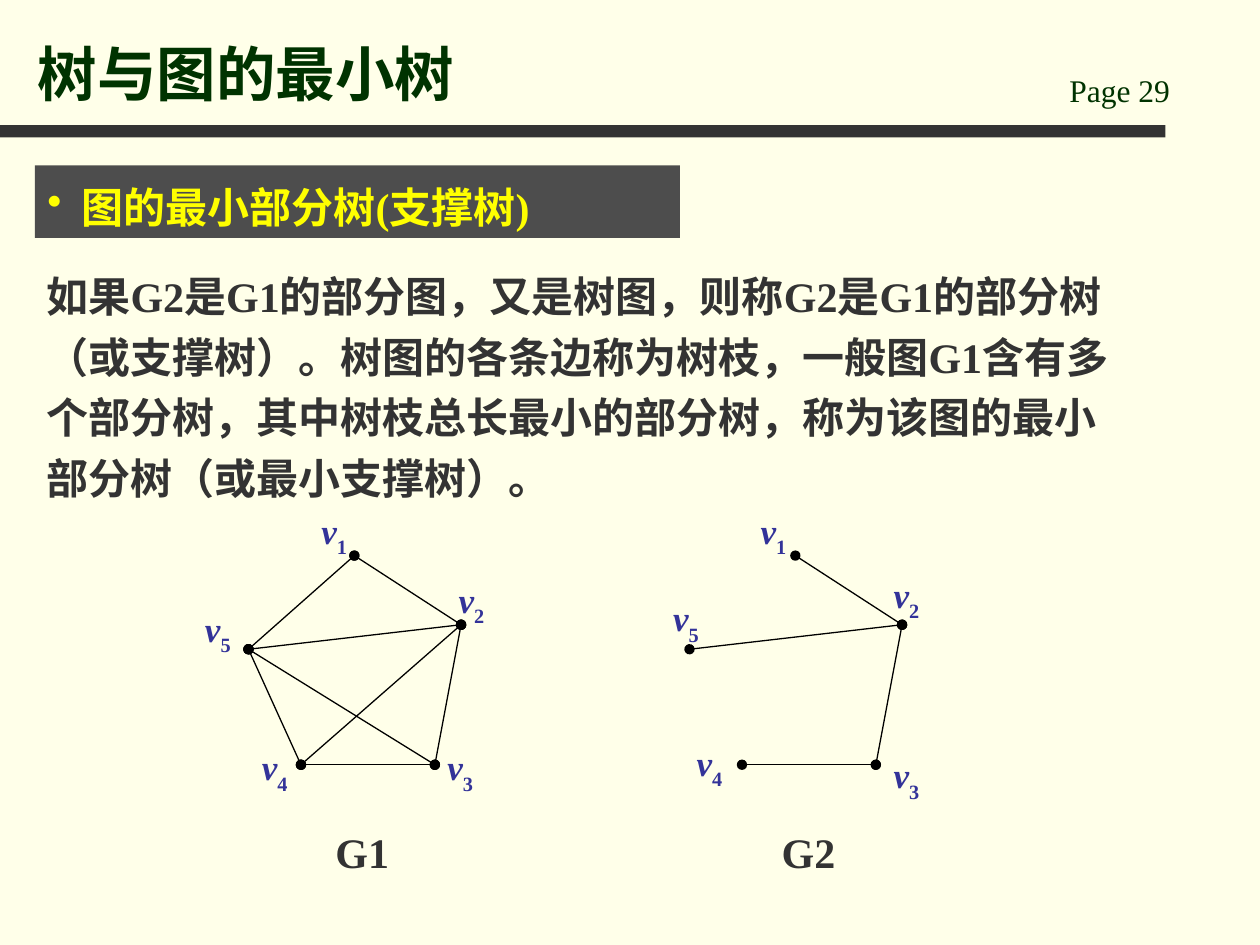
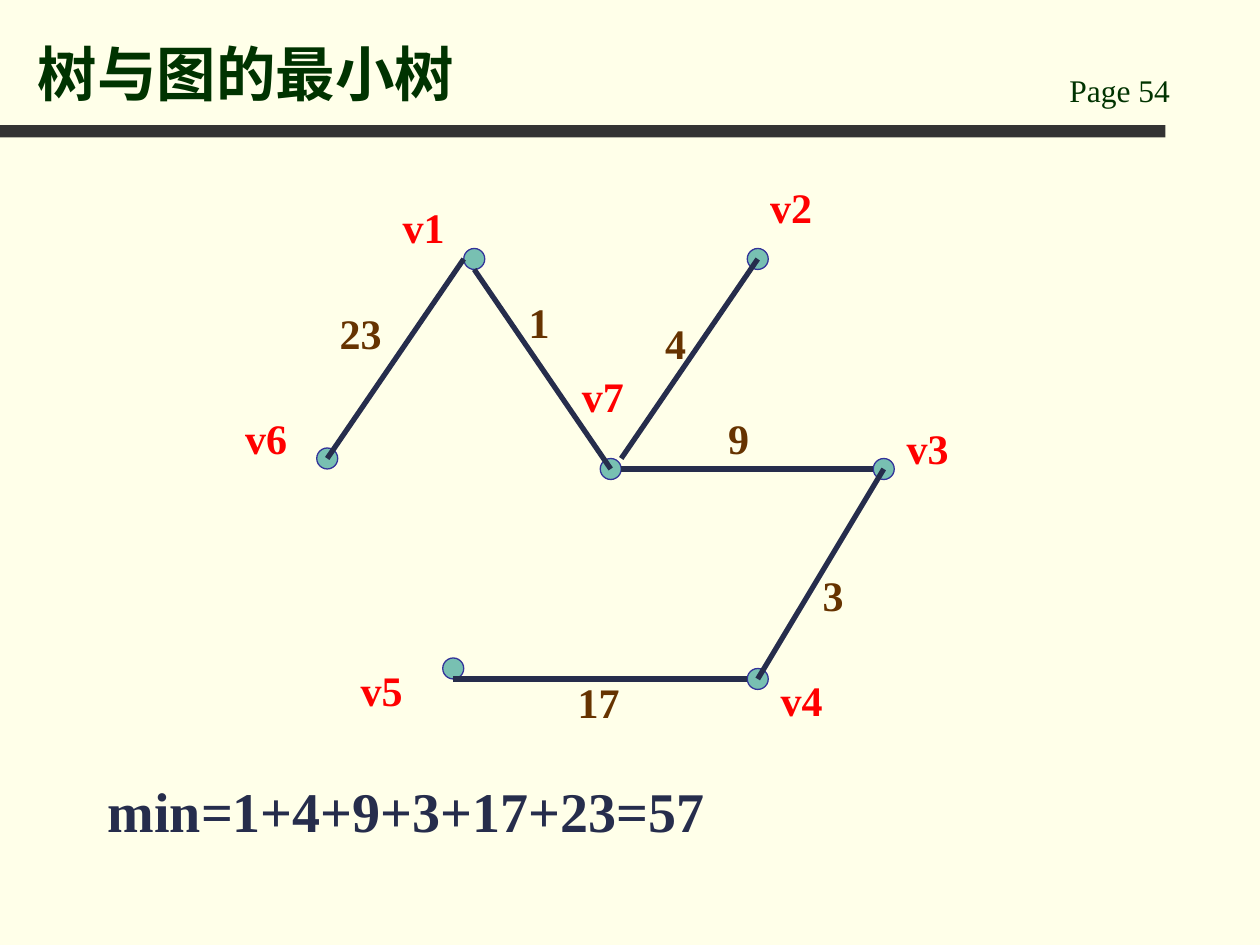
import pptx
import pptx.dml.color
import pptx.enum.shapes
import pptx.enum.text
import pptx.oxml.ns
import pptx.util
from lxml import etree

Pt = pptx.util.Pt
SHAPE = pptx.enum.shapes.MSO_SHAPE
ALIGN = pptx.enum.text.PP_ALIGN
ANCHOR = pptx.enum.text.MSO_ANCHOR

FONT = "Times New Roman"
CREAM, GREEN, DARK, GREY = "FFFFE9", "003300", "333333", "4D4D4D"
YELLOW, BLUE, NAVY, TEAL = "FFFF00", "333399", "262D4C", "78C0B2"
RED, BROWN, BLACK = "FF0000", "663300", "000000"
TITLE = "树与图的最小树"


def rgb(color):
    return pptx.dml.color.RGBColor.from_string(color)


def add_xml(parent, tag, **attrs):
    return etree.SubElement(parent, pptx.oxml.ns.qn(tag), attrs)


def add_run(p, text, size, color, bold=True, italic=False, baseline=0):
    r = p.add_run()
    r.text = text
    r.font.name, r.font.size = FONT, Pt(size)
    r.font.bold, r.font.italic = bold, italic
    r.font.color.rgb = rgb(color)
    if baseline:
        r._r.get_or_add_rPr().set("baseline", str(baseline * 1000))


def add_textbox(slide, x, y, w, h, align=ALIGN.LEFT, spacing=None):
    """Add a wrapping text box and return its first paragraph."""
    tf = slide.shapes.add_textbox(Pt(x), Pt(y), Pt(w), Pt(h)).text_frame
    tf.word_wrap = True
    p = tf.paragraphs[0]
    p.alignment = align
    if spacing:
        p.line_spacing = spacing
    return p


def add_shape(slide, kind, x, y, w, h, fill, line=None):
    sp = slide.shapes.add_shape(kind, Pt(x), Pt(y), Pt(w), Pt(h))
    sp.shadow.inherit = False
    sp.fill.solid()
    sp.fill.fore_color.rgb = rgb(fill)
    if line:
        sp.line.color.rgb = rgb(line)
        sp.line.width = Pt(0.75)
    else:
        sp.line.fill.background()
    return sp


def add_edge(slide, start, end, color, width, dots=False):
    line = slide.shapes.add_connector(
        pptx.enum.shapes.MSO_CONNECTOR.STRAIGHT, *map(Pt, start + end))
    line.line.color.rgb = rgb(color)
    line.line.width = Pt(width)
    if dots:
        ln = line.line._get_or_add_ln()
        add_xml(ln, "a:headEnd", type="oval")
        add_xml(ln, "a:tailEnd", type="oval")
    add_xml(line._element.spPr, "a:effectLst")


def add_page(prs, number):
    """Add a slide with the shared band, page number and title."""
    slide = prs.slides.add_slide(prs.slide_layouts[5])
    add_shape(slide, SHAPE.RECTANGLE, 0, 71.5, 666, 7, DARK)
    p = add_textbox(slide, 604, 37, 102, 29)
    add_run(p, f"Page {number}", 18, GREEN, bold=False)

    title = slide.shapes.title
    title.left, title.top, title.width, title.height = map(Pt, (14.5, 9.5, 578, 56))
    title.text_frame.vertical_anchor = ANCHOR.BOTTOM
    p = title.text_frame.paragraphs[0]
    p.alignment = ALIGN.LEFT
    add_run(p, TITLE, 34, GREEN)
    return slide


def add_heading(slide, text):
    sp = add_shape(slide, SHAPE.RECTANGLE, 20, 94.5, 368.5, 41.5, GREY)
    tf = sp.text_frame
    tf.vertical_anchor = ANCHOR.TOP
    p = tf.paragraphs[0]
    pPr = p._p.get_or_add_pPr()
    indent = Pt(19.5)
    pPr.set("marL", str(indent))
    pPr.set("indent", str(-indent))
    add_xml(pPr, "a:buChar", char="•")
    p.alignment = ALIGN.LEFT
    p.line_spacing = 1.2
    add_run(p, text, 24, YELLOW)


def add_small_graph(slide, name, dx, edges, labels, caption_x):
    """Draw a graph on the shared five vertices, shifted right by dx."""
    vertices = {1: (202.5, 317.5), 2: (263.5, 357), 3: (248.5, 437),
                4: (172, 437), 5: (142, 371)}
    for a, b in edges:
        start, end = ((vertices[v][0] + dx, vertices[v][1]) for v in (a, b))
        add_edge(slide, start, end, BLACK, 0.75, dots=True)
    for number, (x, y) in enumerate(labels, 1):
        p = add_textbox(slide, x, y, 46, 40)
        add_run(p, "v", 20, BLUE, italic=True)
        add_run(p, str(number), 20, BLUE, baseline=-30)
    p = add_textbox(slide, caption_x, 463, 148, 42, ALIGN.CENTER, 1.2)
    add_run(p, name, 24, DARK)


def build_definition(prs):
    slide = add_page(prs, 29)
    add_heading(slide, "图的最小部分树(支撑树)")
    p = add_textbox(slide, 19.5, 145.5, 635, 145.5, spacing=1.2)
    add_run(p, "如果G2是G1的部分图，又是树图，则称G2是G1的部分树（或支撑树）。"
               "树图的各条边称为树枝，一般图G1含有多个部分树，其中树枝总长最小的"
               "部分树，称为该图的最小部分树（或最小支撑树）。", 24, DARK)

    add_small_graph(
        slide, "G1", 0,
        [(1, 5), (5, 4), (4, 3), (1, 2), (2, 3), (5, 2), (5, 3), (4, 2)],
        [(176.5, 287.5), (255, 327), (248.5, 422.5), (142.5, 422.5), (110, 343.5)],
        133)
    add_small_graph(
        slide, "G2", 252,
        [(4, 3), (1, 2), (2, 3), (5, 2)],
        [(427.5, 287.5), (503.5, 324), (503.5, 427), (391, 420), (377.5, 337.5)],
        388)


def build_minimum_tree(prs):
    slide = add_page(prs, 54)
    radius = 6
    # Vertex: centre, then label position
    vertices = {
        "v1": ((271, 148), (223, 111.5)),
        "v2": ((433, 148), (433, 100)),
        "v3": ((505, 268), (511, 238)),
        "v4": ((433, 388), (439, 382)),
        "v5": ((259, 382), (199, 376)),
        "v6": ((187, 262), (133, 232)),
        "v7": ((349, 268), (325.5, 208)),
    }
    # Edge: each end as vertex and offset in radii, weight, weight position
    edges = [
        ("v1", (-1, 0), "v6", (0, 0), "23", (187, 172)),
        ("v1", (0, 1), "v7", (0, 0), "1", (295, 166)),
        ("v2", (0, 0), "v7", (1, -1), "4", (373, 178)),
        ("v7", (1, 0), "v3", (-1, 0), "9", (409, 232)),
        ("v5", (0, 1), "v4", (-1, 0), "17", (323, 383)),
        ("v3", (0, 0), "v4", (0, 0), "3", (463, 322)),
    ]

    def end_point(vertex, offset):
        return tuple(c + radius * o for c, o in zip(vertices[vertex][0], offset))

    for (x, y), _ in vertices.values():
        add_shape(slide, SHAPE.OVAL, x - radius, y - radius,
                  2 * radius, 2 * radius, TEAL, BLUE)
    for a, a_offset, b, b_offset, _, _ in edges:
        add_edge(slide, end_point(a, a_offset), end_point(b, b_offset), NAVY, 3)

    # Vertex names and edge weights
    labels = [(name, at, RED) for name, (_, at) in vertices.items()]
    labels += [(weight, at, BROWN) for *_, weight, at in edges]
    for text, (x, y), color in labels:
        add_run(add_textbox(slide, x, y, 42, 36), text, 24, color)

    # Total length
    p = add_textbox(slide, 54.5, 440, 600, 45.5)
    add_run(p, "min=1+4+9+3+17+23=57", 32, NAVY)


def main():
    prs = pptx.Presentation()
    prs.slide_width, prs.slide_height = Pt(720), Pt(540)
    fill = prs.slide_master.background.fill
    fill.solid()
    fill.fore_color.rgb = rgb(CREAM)
    build_definition(prs)
    build_minimum_tree(prs)
    prs.save("out.pptx")


if __name__ == "__main__":
    main()
